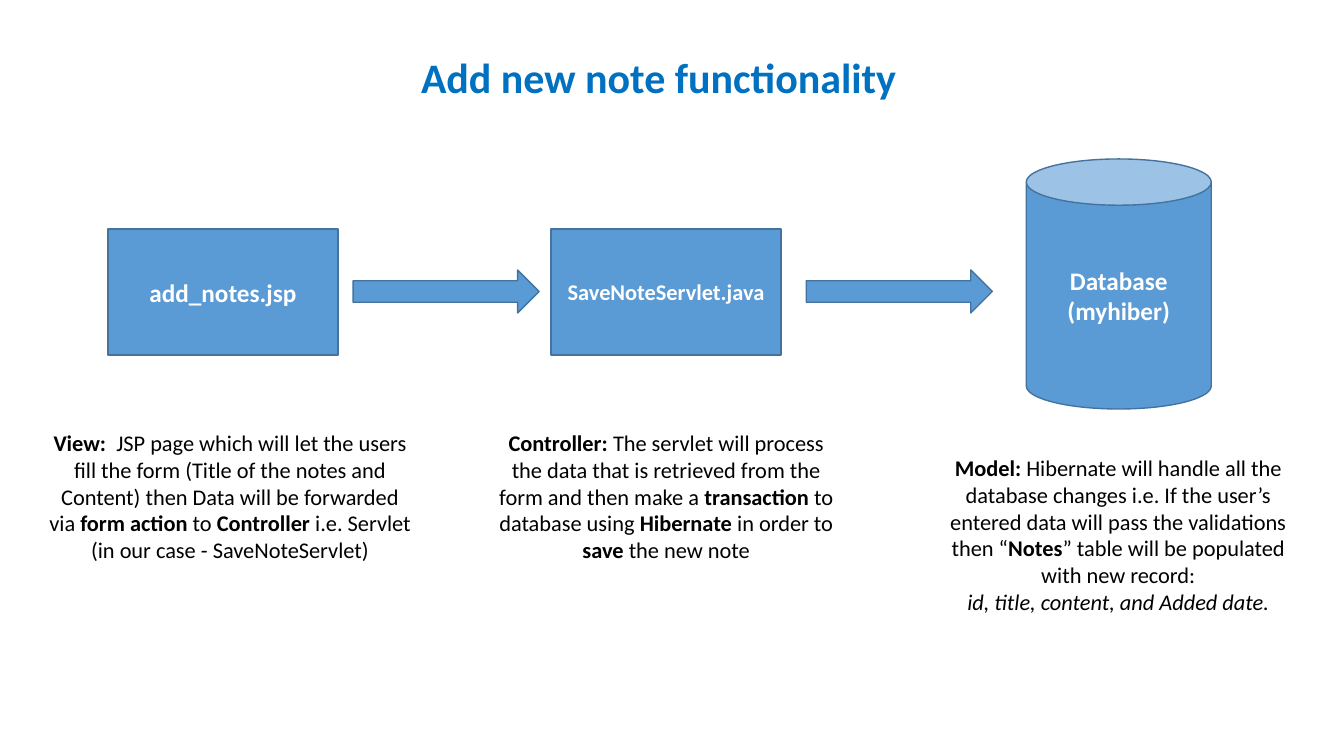
from pptx import Presentation
from pptx import util as u
from pptx.dml.color import RGBColor
from pptx.enum import shapes, text

PX = 914400 / 100.8
COLORS = {"title": "0070C0", "fill": "5B9BD5", "edge": "43739E",
          "label": "FFFFFF", "body": "000000"}
FONT = "Calibri"


class FlowSlide:
    """Holds the style and the current slide, and draws each kind of element."""

    def __init__(self, deck):
        self.slide = deck.slides.add_slide(deck.slide_layouts[6])

    def place(self, *pixels):
        return [u.Emu(round(p * PX)) for p in pixels]

    def color(self, name):
        return RGBColor.from_string(COLORS[name])

    def fill_text(self, frame, paragraphs, color, align, **formats):
        frame.word_wrap = True
        for index, (marked, extra) in enumerate(paragraphs):
            line = frame.paragraphs[0] if index == 0 else frame.add_paragraph()
            line.alignment = align
            for part, words in enumerate(marked.split("*")):
                if not words:
                    continue
                run = line.add_run()
                run.text = words
                run.font.color.rgb = self.color(color)
                style = {"name": FONT, "bold": part % 2 == 1, **formats, **extra}
                for key, value in style.items():
                    setattr(run.font, key, value)

    def textbox(self, box, paragraphs, color="body", size=16,
                align=text.PP_ALIGN.CENTER):
        frame = self.slide.shapes.add_textbox(*self.place(*box)).text_frame
        self.fill_text(frame, paragraphs, color, align, size=u.Pt(size))

    def shape(self, kind, box, labels=(), size=18):
        shape = self.slide.shapes.add_shape(kind, *self.place(*box))
        shape.shadow.inherit = False
        shape.fill.solid()
        shape.fill.fore_color.rgb = self.color("fill")
        shape.line.color.rgb = self.color("edge")
        shape.line.width = u.Pt(1)
        shape.text_frame.vertical_anchor = text.MSO_ANCHOR.MIDDLE
        self.fill_text(shape.text_frame, [(label, {}) for label in labels],
                       "label", text.PP_ALIGN.CENTER, size=u.Pt(size), bold=True)


deck = Presentation()
deck.slide_width, deck.slide_height = u.Inches(13.33), u.Inches(7.5)
flow = FlowSlide(deck)
KIND = shapes.MSO_SHAPE

flow.textbox((411, 47, 510, 61), [("*Add new note functionality*", {})],
             "title", 30, text.PP_ALIGN.LEFT)

for left, file_name, size in ((108, "add_notes.jsp", 18),
                              (551, "SaveNoteServlet.java", 16)):
    flow.shape(KIND.RECTANGLE, (left, 229, 230, 126), [file_name], size)
flow.shape(KIND.CAN, (1026, 159, 185, 250), ["Database", "(myhiber)"])
for left in (353, 806):
    flow.shape(KIND.RIGHT_ARROW, (left, 270, 186, 43))

view = ("*View: * JSP page which will let the users fill the form (Title of the "
        "notes and Content) then Data will be forwarded via *form action* to "
        "*Controller* i.e. Servlet (in our case - SaveNoteServlet)")
controller = ("*Controller: *The servlet will process the data that is retrieved "
              "from the form and then make a *transaction* to database using "
              "*Hibernate* in order to *save* the new note")
model = ("*Model: *Hibernate will handle all the database changes i.e. If the "
         "user’s entered data will pass the validations then “*Notes*” table "
         "will be populated with new record:")
record_fields = ("id, title, content, and Added date.", {"italic": True})

for box, role in (((36, 424, 388, 146), [(view, {})]),
                  ((482, 424, 368, 146), [(controller, {})]),
                  ((934, 449, 368, 173), [(model, {}), record_fields])):
    flow.textbox(box, role)

deck.save("out.pptx")
